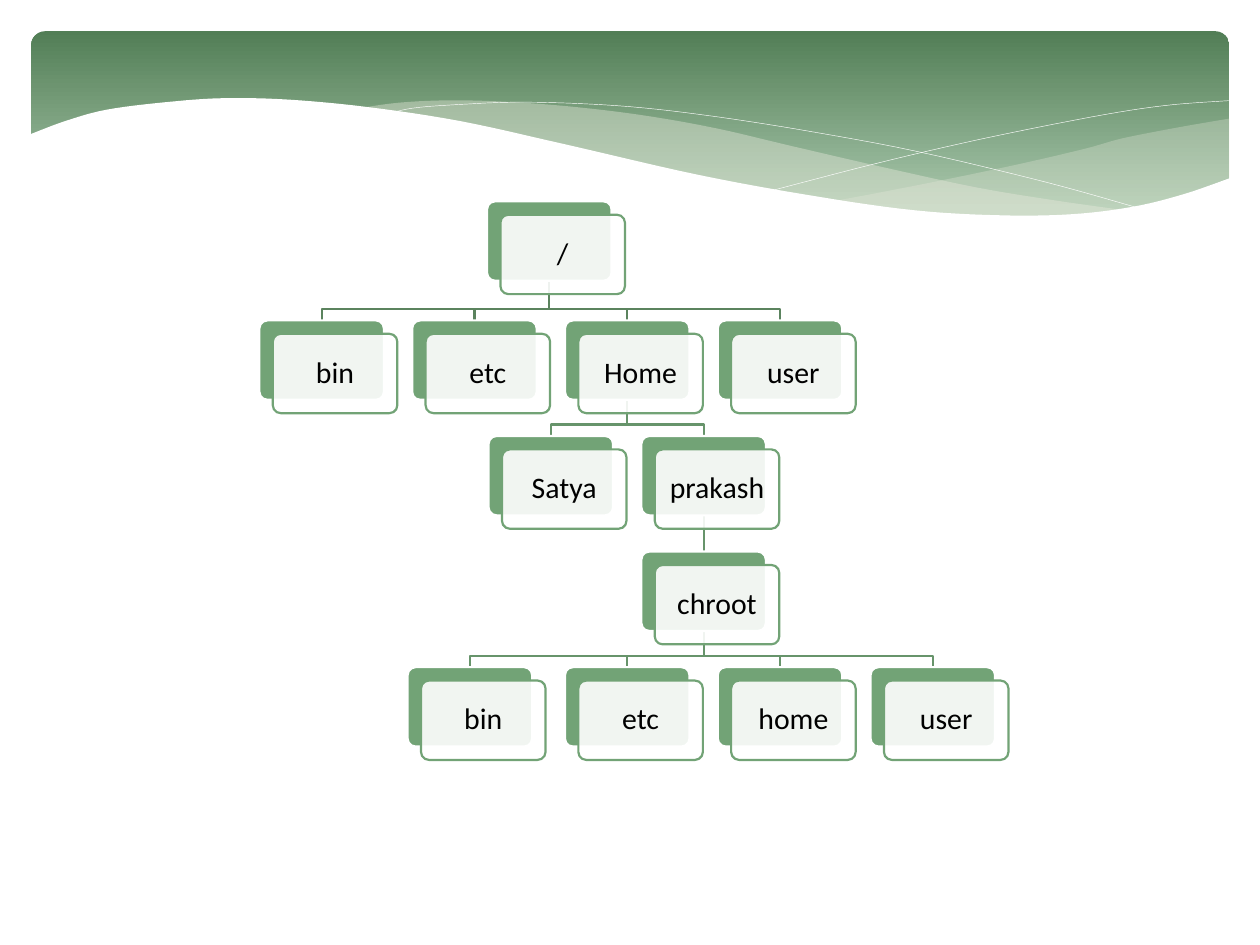
from lxml import etree
from pptx import Presentation
from pptx.dml.color import RGBColor
from pptx.enum.shapes import MSO_CONNECTOR, MSO_SHAPE
from pptx.enum.text import MSO_ANCHOR, PP_ALIGN
from pptx.oxml.ns import qn
from pptx.util import Cm, Pt

ROUNDED = MSO_SHAPE.ROUNDED_RECTANGLE
STRAIGHT = MSO_CONNECTOR.STRAIGHT
MIDDLE = MSO_ANCHOR.MIDDLE
CENTER = PP_ALIGN.CENTER

WHITE = RGBColor(0xFF, 0xFF, 0xFF)
BLACK = RGBColor(0x00, 0x00, 0x00)
GREEN = RGBColor(0x72, 0xA3, 0x76)
BANNER_DARK = RGBColor(0x52, 0x7E, 0x56)
BANNER_LIGHT = RGBColor(0xAA, 0xC8, 0xAD)
WAVE = RGBColor(0xEA, 0xEB, 0xDE)
BRANCH_TOP = RGBColor(0x5B, 0x83, 0x5E)
BRANCH_LOWER = RGBColor(0x67, 0x94, 0x6B)

# Tree geometry in centimetres
CARD_WIDTH, CARD_HEIGHT, CARD_SHIFT = 2.51, 1.6, 0.27
FIRST_LEFT, COLUMN_STEP = 5.23, 3.08
LEVEL_TOPS = [4.06, 6.46, 8.79, 11.12, 13.45]
BEND_GAP = 0.23

# Directories: key -> (label, level, column, parent key)
DIRECTORIES = {
    "root": ("/", 0, 1.49, None),
    "bin": ("bin", 1, 0, "root"),
    "etc": ("etc", 1, 1, "root"),
    "home": ("Home", 1, 2, "root"),
    "user": ("user", 1, 3, "root"),
    "satya": ("Satya", 2, 1.5, "home"),
    "prakash": ("prakash", 2, 2.5, "home"),
    "chroot": ("chroot", 3, 2.5, "prakash"),
    "jail bin": ("bin", 4, 0.97, "chroot"),
    "jail etc": ("etc", 4, 2, "chroot"),
    "jail home": ("home", 4, 3, "chroot"),
    "jail user": ("user", 4, 4, "chroot"),
}

# Knots of the banner's curves, in centimetres
RIGHT_WAVE_TOP = [(24.79, 2.39), (23.75, 2.57), (22.63, 2.79), (21.87, 3),
                  (20.45, 3.33), (18.52, 3.73), (16.79, 4.06)]
RIGHT_WAVE_BOTTOM = [(16.79, 4.06), (17.91, 4.19), (19.23, 4.32), (20.68, 4.37),
                     (21.92, 4.32), (22.99, 4.14), (23.93, 3.91), (24.79, 3.58)]
MIDDLE_WAVE_TOP = [(22.68, 4.24), (21.26, 4.04), (19.69, 3.78), (17.93, 3.4),
                   (15.98, 2.95), (14.45, 2.59), (13.06, 2.34), (11.81, 2.18),
                   (10.67, 2.08), (9.65, 2.03), (8.74, 2.03), (7.95, 2.08), (7.26, 2.18)]
MIDDLE_WAVE_BOTTOM = [(7.26, 2.18), (8.2, 2.29), (9.19, 2.46), (10.26, 2.69),
                      (11.4, 2.95), (13.46, 3.43), (15.27, 3.81), (16.89, 4.09),
                      (18.34, 4.27), (19.63, 4.37), (20.78, 4.39), (21.77, 4.34),
                      (22.68, 4.24)]
FALLING_LINE = [(7.85, 2.29), (8.33, 2.18), (9.22, 2.11), (10.57, 2.06), (12.42, 2.13),
                (14.12, 2.31), (16.15, 2.62), (18.47, 3.05), (21.11, 3.68), (23.04, 4.22)]
RISING_LINE = [(15.57, 3.84), (17.65, 3.3), (19.71, 2.82), (22, 2.36),
               (23.47, 2.13), (24.77, 2.03)]
WHITE_WAVE = [(24.82, 3.58), (23.88, 3.91), (22.83, 4.17), (21.59, 4.32), (20.14, 4.34),
              (18.44, 4.24), (16.46, 3.96), (14.1, 3.53), (11.35, 2.9), (9.27, 2.44),
              (7.42, 2.16), (5.84, 2.01), (4.5, 1.98), (3.35, 2.06), (2.16, 2.21),
              (1.32, 2.44), (0.58, 2.72)]
WHITE_WAVE_BASE = [(0.58, 5.69), (24.82, 5.69)]


def smooth(knots, steps=6):
    """Return points on a Catmull-Rom curve through the knots."""
    padded = [knots[0], *knots, knots[-1]]
    points = [knots[0]]
    for a, b, c, d in zip(padded, padded[1:], padded[2:], padded[3:]):
        for step in range(1, steps + 1):
            t = step / steps
            points.append(tuple(
                0.5 * (2 * q + (r - p) * t + (2 * p - 5 * q + 4 * r - s) * t ** 2
                       + (3 * q - p - 3 * r + s) * t ** 3)
                for p, q, r, s in zip(a, b, c, d)))
    return points


class SlideBuilder:
    font_name = "Calibri"
    font_size = Pt(17)
    line_width = Pt(1.25)

    def __init__(self, slide):
        self.slide = slide

    def fill(self, shape, color, opacity=100):
        shape.fill.solid()
        shape.fill.fore_color.rgb = color
        if opacity < 100:
            color_element = shape.fill._xPr.find(qn("a:solidFill"))[0]
            alpha = etree.SubElement(color_element, qn("a:alpha"))
            alpha.set("val", str(opacity * 1000))

    def rounded(self, left, top, width, height, radius):
        shape = self.slide.shapes.add_shape(ROUNDED, Cm(left), Cm(top), Cm(width), Cm(height))
        shape.adjustments[0] = radius
        shape.shadow.inherit = False
        return shape

    def banner(self, left, top, width, height):
        shape = self.rounded(left, top, width, height, 0.07)
        shape.line.fill.background()
        shape.fill.gradient()
        shape.fill.gradient_angle = 270
        stops = zip(shape.fill.gradient_stops, (0, 0.9), (BANNER_DARK, BANNER_LIGHT))
        for stop, position, color in stops:
            stop.position = position
            stop.color.rgb = color

    def outline(self, points, close):
        start, *rest = [(Cm(x), Cm(y)) for x, y in points]
        builder = self.slide.shapes.build_freeform(*start)
        builder.add_line_segments(rest, close=close)
        shape = builder.convert_to_shape()
        shape.shadow.inherit = False
        return shape

    def area(self, points, color, opacity=100):
        shape = self.outline(points, True)
        self.fill(shape, color, opacity)
        shape.line.fill.background()

    def path_line(self, points, color, width=line_width):
        shape = self.outline(points, False)
        shape.fill.background()
        shape.line.color.rgb = color
        shape.line.width = width

    def connector(self, color):
        connector = self.slide.shapes.add_connector(STRAIGHT, 0, 0, 0, 0)
        connector.line.color.rgb = color
        connector.line.width = self.line_width
        etree.SubElement(connector._element.spPr, qn("a:effectLst"))
        return connector

    def card(self, left, top, label):
        back = self.rounded(left, top, CARD_WIDTH, CARD_HEIGHT, 0.1)
        self.fill(back, GREEN)
        front = self.rounded(left + CARD_SHIFT, top + CARD_SHIFT, CARD_WIDTH, CARD_HEIGHT, 0.1)
        self.fill(front, WHITE, 90)
        for shape, color in ((back, WHITE), (front, GREEN)):
            shape.line.color.rgb = color
            shape.line.width = self.line_width
        frame = front.text_frame
        frame.word_wrap = True
        frame.vertical_anchor = MIDDLE
        frame.margin_left = frame.margin_right = Cm(0.23)
        frame.margin_top = frame.margin_bottom = Cm(0.23)
        paragraph = frame.paragraphs[0]
        paragraph.text = label
        paragraph.alignment = CENTER
        paragraph.line_spacing = 0.9
        paragraph.font.name = self.font_name
        paragraph.font.size = self.font_size
        paragraph.font.color.rgb = BLACK
        return back


def card_position(key):
    _, level, column, _ = DIRECTORIES[key]
    return FIRST_LEFT + column * COLUMN_STEP, LEVEL_TOPS[level]


def main():
    presentation = Presentation()
    presentation.slide_width, presentation.slide_height = Cm(25.4), Cm(19.05)
    slide = presentation.slides.add_slide(presentation.slide_layouts[6])
    builder = SlideBuilder(slide)

    # Banner with waves
    builder.banner(0.63, 0.63, 24.15, 3.96)
    builder.area(smooth(RIGHT_WAVE_TOP) + smooth(RIGHT_WAVE_BOTTOM), WAVE, 29)
    builder.area(smooth(MIDDLE_WAVE_TOP) + smooth(MIDDLE_WAVE_BOTTOM), WAVE, 40)
    for knots in (FALLING_LINE, RISING_LINE):
        builder.path_line(smooth(knots), WHITE, Pt(0.25))
    builder.area(smooth(WHITE_WAVE) + WHITE_WAVE_BASE, WHITE)

    # Branches, behind the cards
    straight_branches = []
    for key, (_, _, column, parent) in DIRECTORIES.items():
        if parent is None:
            continue
        color = BRANCH_TOP if parent == "root" else BRANCH_LOWER
        if column == DIRECTORIES[parent][2] and parent == "prakash":
            straight_branches.append((builder.connector(color), parent, key))
            continue
        (parent_left, parent_top), (left, top) = card_position(parent), card_position(key)
        start_x, end_x = parent_left + CARD_WIDTH / 2, left + CARD_WIDTH / 2
        bend = top - BEND_GAP
        builder.path_line([(start_x, parent_top + CARD_HEIGHT), (start_x, bend),
                           (end_x, bend), (end_x, top)], color)

    # Directory cards
    cards = {key: builder.card(*card_position(key), entry[0])
             for key, entry in DIRECTORIES.items()}
    for connector, parent, key in straight_branches:
        connector.begin_connect(cards[parent], 2)
        connector.end_connect(cards[key], 0)

    presentation.save("out.pptx")


if __name__ == "__main__":
    main()
